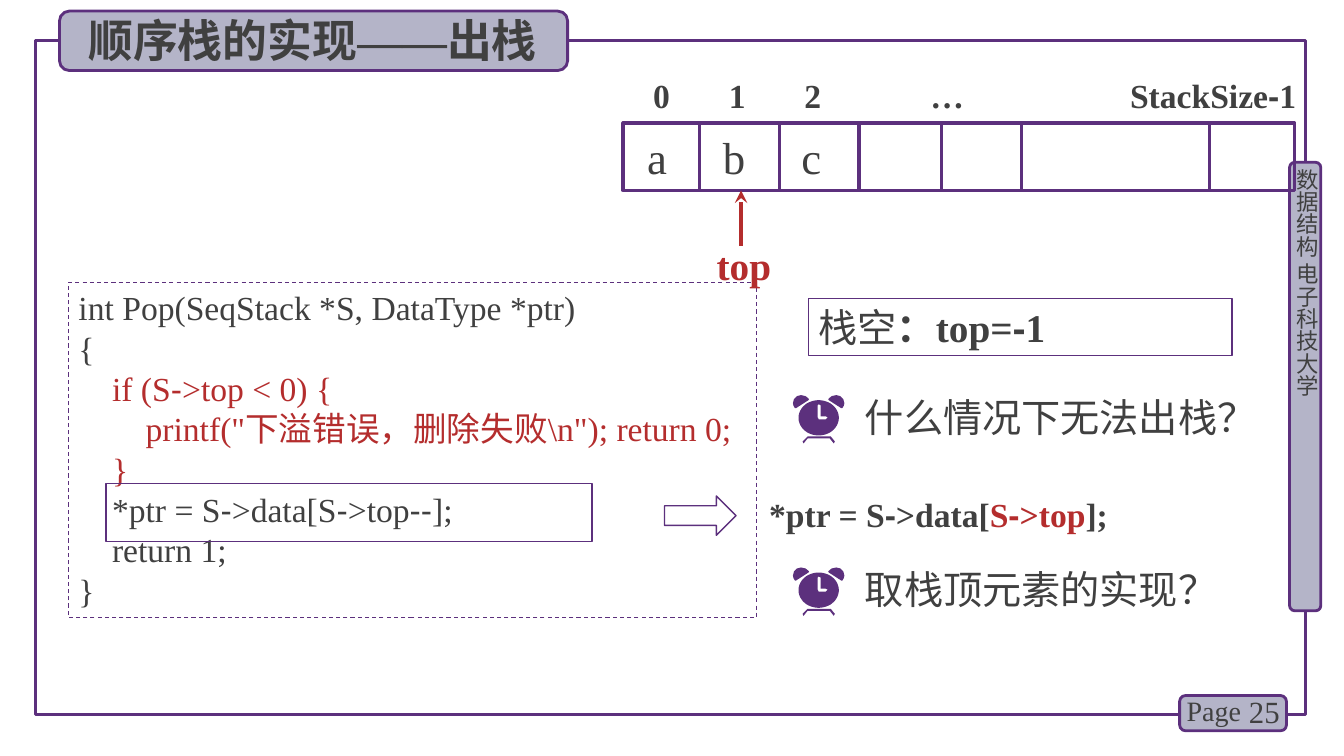
import dataclasses
import itertools
import math

import pptx
import pptx.dml.color
import pptx.enum.dml
import pptx.enum.shapes
import pptx.enum.text
import pptx.oxml
import pptx.oxml.ns
import pptx.util

Inches, Pt = pptx.util.Inches, pptx.util.Pt
RGB = pptx.dml.color.RGBColor.from_string
SHAPE = pptx.enum.shapes.MSO_SHAPE
ALIGN = pptx.enum.text.PP_ALIGN
ANCHOR = pptx.enum.text.MSO_ANCHOR
qn = pptx.oxml.ns.qn
NS = pptx.oxml.ns.nsdecls("a")


@dataclasses.dataclass(frozen=True)
class Theme:
    purple: str = "5C307D"
    panel: str = "B4B4C8"
    ink: str = "404040"
    red: str = "B42D2D"
    serif: str = "Times New Roman"
    sans: str = "Noto Sans CJK SC"
    hyphen: str = "Arial"
    title: int = 32
    label: int = 28
    code: int = 24
    number: int = 22
    page: int = 20
    side: int = 16


theme = Theme()
prs = pptx.Presentation()
prs.slide_width, prs.slide_height = Inches(13.33), Inches(7.5)
s = prs.slides.add_slide(prs.slide_layouts[5])


def add_box(kind, x, y, w, h, width=None, fill=None):
    at = [Inches(v) for v in (x, y, w, h)]
    if kind is None:
        sp = s.shapes.add_textbox(*at)
    else:
        sp = s.shapes.add_shape(kind, *at)
        sp.shadow.inherit = False
        sp.line.color.rgb = RGB(theme.purple)
        sp.line.width = Pt(width)
        if fill:
            sp.fill.solid()
            sp.fill.fore_color.rgb = RGB(fill)
        else:
            sp.fill.background()
    sp.text_frame.word_wrap = True
    sp.text_frame.vertical_anchor = ANCHOR.MIDDLE
    return sp


def write(p, size, *runs, align=ALIGN.LEFT):
    p.alignment = align
    for text, color, bold, east_font in runs:
        for is_hyphen, chars in itertools.groupby(text, lambda c: c == "-"):
            r = p.add_run()
            r.text = "".join(chars)
            r.font.size = Pt(size)
            r.font.bold = bold
            r.font.color.rgb = RGB(color)
            r.font.name = theme.hyphen if is_hyphen else theme.serif
            ea = pptx.oxml.parse_xml(f'<a:ea {NS} typeface="{east_font}"/>')
            r._r.get_or_add_rPr().append(ea)


add_box(SHAPE.RECTANGLE, 0.35, 0.4, 12.6, 6.69, 2.25)
add_box(SHAPE.ROUNDED_RECTANGLE, 12.79, 1.61, 0.31, 4.45, 2, theme.panel)
add_box(SHAPE.ROUNDED_RECTANGLE, 11.7, 6.9, 1.06, 0.35, 2, theme.panel)
title_tab = add_box(SHAPE.ROUNDED_RECTANGLE, 0.59, 0.11, 5.04, 0.59, 2, theme.panel)

title = s.shapes.title
title_tab.element.addnext(title.element)
title.left, title.top, title.width, title.height = [Inches(v) for v in (0.73, 0.07, 4.74, 0.64)]
title.text_frame.auto_size = pptx.enum.text.MSO_AUTO_SIZE.NONE
title.text_frame.vertical_anchor = ANCHOR.MIDDLE
write(title.text_frame.paragraphs[0], theme.title,
      ("顺序栈的实现", theme.ink, True, theme.sans),
      ("——", theme.ink, True, theme.serif),
      ("出栈", theme.ink, True, theme.sans), align=ALIGN.CENTER)

side = add_box(None, 12.83, 1.67, 0.27, 4.49)
tf = side.text_frame
tf.margin_left = tf.margin_right = tf.margin_top = tf.margin_bottom = 0
tf.vertical_anchor = ANCHOR.TOP
side.element.txBody.find(qn("a:bodyPr")).set("vert", "eaVert")
write(tf.paragraphs[0], theme.side, ("数据结构 电子科技大学", theme.ink, False, theme.sans))

code = add_box(SHAPE.RECTANGLE, 0.68, 2.8, 6.82, 3.33, 0.75)
code.line.dash_style = pptx.enum.dml.MSO_LINE.DASH
tf = code.text_frame
tf.margin_right = 0
tf.vertical_anchor = ANCHOR.TOP
code_lines = [
    ("int Pop(SeqStack *S, DataType *ptr)", theme.ink),
    ("{", theme.ink),
    ("    if (S->top < 0) {", theme.red),
    ('        printf("下溢错误，删除失败\\n"); return 0;', theme.red),
    ("    }", theme.red),
    ("    *ptr = S->data[S->top--];", theme.ink),
    ("    return 1;", theme.ink),
    ("}", theme.ink),
]
for i, (line, color) in enumerate(code_lines):
    p = tf.add_paragraph() if i else tf.paragraphs[0]
    p.line_spacing = Pt(28.8)
    write(p, theme.code, (line, color, False, theme.sans))

add_box(SHAPE.RECTANGLE, 1.05, 4.8, 4.82, 0.57, 1)
add_box(SHAPE.RIGHT_ARROW, 6.59, 4.92, 0.71, 0.39, 1)
empty_rule = add_box(SHAPE.RECTANGLE, 8.02, 2.96, 4.2, 0.57, 1)
write(empty_rule.text_frame.paragraphs[0], theme.label,
      ("栈空", theme.ink, False, theme.sans),
      ("：top=-1", theme.ink, True, theme.sans))

labels = [
    (12.2, 6.86, 0.59, 0.4, theme.number, ALIGN.RIGHT, [("25", theme.ink, False)]),
    (11.67, 6.83, 0.78, 0.44, theme.page, ALIGN.LEFT, [("Page", theme.ink, False)]),
    (8.48, 3.85, 4.07, 0.57, theme.label, ALIGN.LEFT, [("什么情况下无法出栈？", theme.ink, False)]),
    (8.48, 5.56, 3.79, 0.57, theme.label, ALIGN.LEFT, [("取栈顶元素的实现？", theme.ink, False)]),
    (7.53, 4.85, 3.71, 0.5, theme.code, ALIGN.LEFT,
     [("*ptr = S->data[", theme.ink, True), ("S->top", theme.red, True), ("];", theme.ink, True)]),
    (7.01, 2.34, 0.79, 0.57, theme.label, ALIGN.LEFT, [("top", theme.red, True)]),
]
for x, y, w, h, size, align, runs in labels:
    p = add_box(None, x, y, w, h).text_frame.paragraphs[0]
    write(p, size, *[(*run, theme.sans) for run in runs], align=align)

add_box(SHAPE.RECTANGLE, 6.18, 1.22, 6.66, 0.67, 2.25)
tabbed_rows = [
    (6.13, 0.69, 6.86, 0.5, theme.code, True, "\t0\t1\t2\t…\tStackSize-1", (0.25, 1, 1.75, 3, 4.98)),
    (6.32, 1.23, 3.81, 0.64, theme.title, False, "a\tb\tc", (0.75, 1.53)),
]
for x, y, w, h, size, bold, text, stops in tabbed_rows:
    p = add_box(None, x, y, w, h).text_frame.paragraphs[0]
    stop_xml = "".join(f'<a:tab pos="{Inches(stop)}" algn="l"/>' for stop in stops)
    tabs = pptx.oxml.parse_xml(f"<a:tabLst {NS}>{stop_xml}</a:tabLst>")
    p._p.get_or_add_pPr().append(tabs)
    write(p, size, (text, theme.ink, bold, theme.serif))

lines = [(x, 1.22, 1.89, theme.purple, 2.25) for x in (6.94, 7.73, 8.52, 9.34, 10.13, 12)]
lines.append((7.35, 2.44, 1.89, theme.red, 3))
for x, start, end, color, width in lines:
    line = s.shapes.add_connector(pptx.enum.shapes.MSO_CONNECTOR.STRAIGHT,
                                  Inches(x), Inches(start), Inches(x), Inches(end))
    line.line.color.rgb = RGB(color)
    line.line.width = Pt(width)
    line.element.spPr.append(pptx.oxml.parse_xml(f"<a:effectLst {NS}/>"))
    if color == theme.red:
        arrowhead = pptx.oxml.parse_xml(f'<a:tailEnd {NS} type="stealth"/>')
        line.element.spPr.find(qn("a:ln")).append(arrowhead)

bell = [(-100, 50), (-95, 40), (-105, 30), (-130, 10), (-175, 0), (-215, 10),
        (-245, 40), (-255, 80), (-250, 105), (-235, 130), (-225, 130)]
feet = [(160, 460), (120, 410), (-110, 410), (-160, 460), (-150, 480),
        (-110, 430), (110, 430), (150, 480)]
hands = [(-10, 100), (0, 90), (20, 100), (20, 210), (70, 210), (90, 220),
         (70, 240), (0, 240), (-10, 220)]
face = [(200 * math.cos(math.radians(a)), 225 + 175 * math.sin(math.radians(a)))
        for a in range(0, 360, 6)]
clock_parts = [[feet], [bell], [[(-x, y) for x, y in bell]], [face, hands]]
for clock_top in (3.92, 5.63):
    for outlines in clock_parts:
        builder = s.shapes.build_freeform(*outlines[0][0], scale=Inches(1) / 1000)
        builder.add_line_segments(outlines[0][1:])
        for hole in outlines[1:]:
            builder.move_to(*hole[0])
            builder.add_line_segments(hole[1:])
        sp = builder.convert_to_shape(Inches(8.12), Inches(clock_top))
        sp.shadow.inherit = False
        sp.fill.solid()
        sp.fill.fore_color.rgb = RGB(theme.purple)
        sp.line.fill.background()

prs.save("out.pptx")
